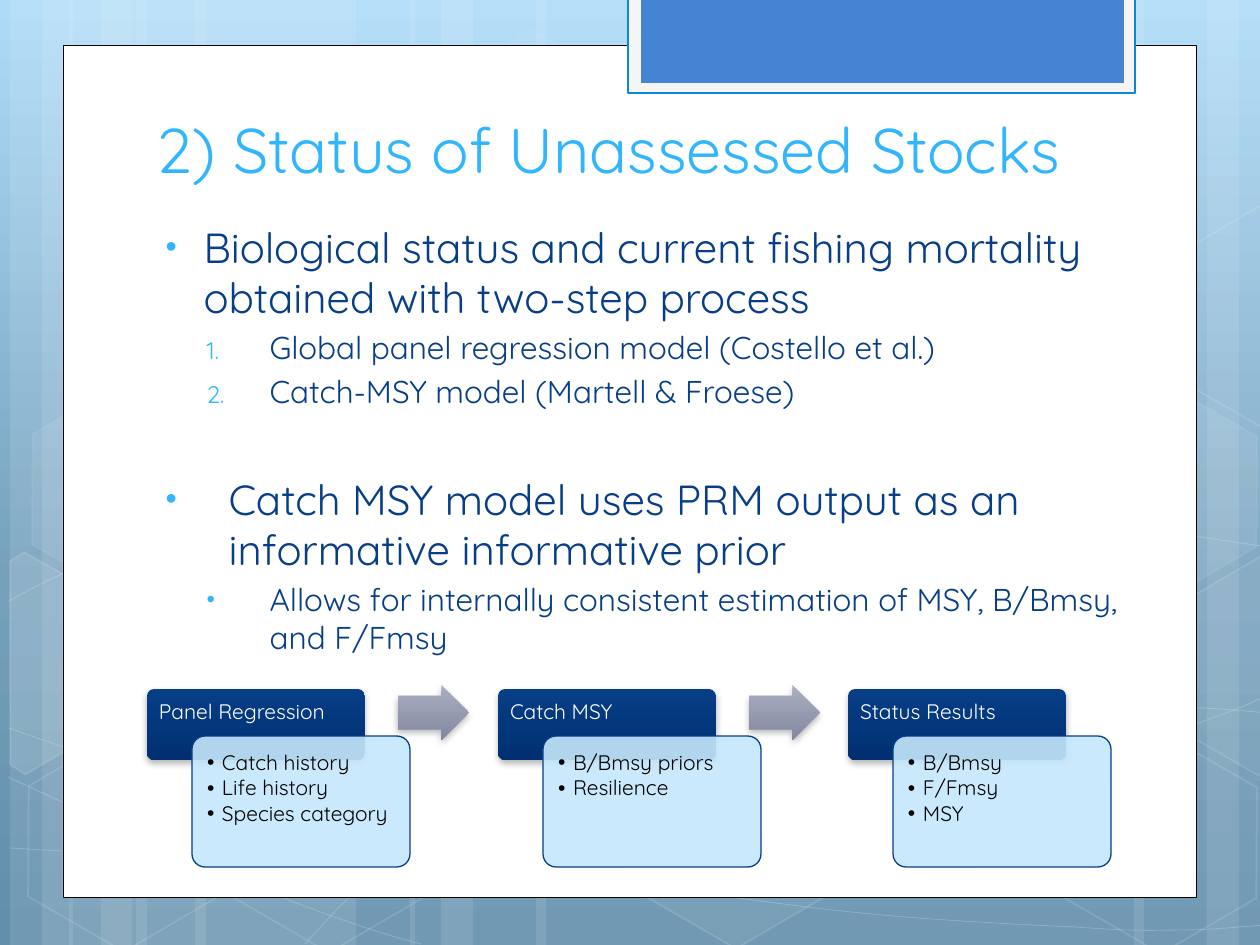
from copy import deepcopy
from math import cos, radians, sin

from lxml import etree
from pptx import Presentation
from pptx.dml.color import RGBColor
from pptx.enum.shapes import MSO_SHAPE as SHAPE
from pptx.enum.text import MSO_AUTO_SIZE as AUTO_SIZE, MSO_ANCHOR as ANCHOR, PP_ALIGN as ALIGN
from pptx.oxml.ns import qn
from pptx.util import Pt

PX = 914400 / 126
WIDTH, HEIGHT = 1260, 945
FONT = "Quicksand"
WHITE, SKY, NAVY = "FFFFFF", "31B6FD", "073E87"


def paint(fill, *colors, alpha=100):
    """Make a fill solid, or a downward gradient when several colours are given."""
    if len(colors) == 1:
        fill.solid()
        fill.fore_color.rgb = RGBColor.from_string(colors[0])
        if alpha < 100:
            color = fill._xPr.find(qn("a:solidFill"))[0]
            etree.SubElement(color, qn("a:alpha")).set("val", str(alpha * 1000))
        return
    fill.gradient()
    fill.gradient_angle = 270
    stop_list = fill._xPr.find(qn("a:gradFill")).find(qn("a:gsLst"))
    while len(stop_list) < len(colors):
        stop_list.append(deepcopy(stop_list[0]))
    for i, (stop, color) in enumerate(zip(fill.gradient_stops, colors)):
        stop.color.rgb = RGBColor.from_string(color)
        stop.position = i / (len(colors) - 1)


def add_bullet(paragraph, left, hang, marker="•", color="000000", size=100):
    """Hang a bullet to the left of the text; the marker "1." numbers the paragraph."""
    properties = paragraph._p.get_or_add_pPr()
    properties.set("marL", str(round(left * PX)))
    properties.set("indent", str(round(-hang * PX)))
    bullet_color = etree.SubElement(properties, qn("a:buClr"))
    etree.SubElement(bullet_color, qn("a:srgbClr")).set("val", color)
    etree.SubElement(properties, qn("a:buSzPct")).set("val", str(size * 1000))
    etree.SubElement(properties, qn("a:buFont")).set("typeface", "Arial")
    if marker == "1.":
        etree.SubElement(properties, qn("a:buAutoNum")).set("type", "arabicPeriod")
    else:
        etree.SubElement(properties, qn("a:buChar")).set("char", marker)


presentation = Presentation()
presentation.slide_width = round(WIDTH * PX)
presentation.slide_height = round(HEIGHT * PX)
slide = presentation.slides.add_slide(presentation.slide_layouts[1])
shapes = slide.shapes
background = slide.background.fill
paint(background, "ADDBF8", "75A0BC", "618EAB")
background.gradient_stops[1].position = 0.62

# Translucent vertical stripes: left, width
stripes = [(136, 220), (10, 63), (42, 105), (195, 220), (69, 63), (101, 105),
           (924, 220), (1207, 63), (1134, 105), (536, 388), (410, 63), (441, 105)]
for left, width in stripes:
    stripe = shapes.add_shape(SHAPE.RECTANGLE, *(round(v * PX) for v in (left, 0, width, HEIGHT)))
    stripe.shadow.inherit = False
    paint(stripe.fill, WHITE, alpha=10)
    stripe.line.fill.background()

# Thin waves: a start point, then three control points for each cubic curve
waves = [
    [(9, 848), (77, 852), (145, 856), (239, 854), (334, 853), (451, 850), (577, 838),
     (703, 825), (882, 801), (998, 777), (1113, 753), (1231, 716), (1269, 694)],
    [(9, 601), (45, 581), (82, 562), (152, 543), (227, 521), (326, 496), (437, 488),
     (549, 479), (685, 478), (824, 488), (963, 498), (1193, 537), (1269, 547)],
    [(8, 777), (160, 847), (311, 916), (421, 944)],
    [(9, 728), (48, 742), (88, 756), (161, 776), (234, 795), (344, 827), (450, 848),
     (554, 869), (687, 892), (791, 905), (896, 919), (1008, 924), (1075, 927),
     (1140, 932), (1158, 930), (1191, 930), (1223, 929), (1246, 926), (1269, 925)],
    [(305, 944), (328, 919), (350, 893), (381, 871), (411, 848), (454, 823), (489, 805),
     (524, 788), (546, 780), (592, 767), (638, 754), (722, 737), (766, 728),
     (811, 719), (818, 719), (857, 717), (896, 713), (958, 709), (1000, 708),
     (1044, 707), (1116, 708), (1116, 708), (1116, 708), (1201, 708), (1201, 708),
     (1223, 709), (1244, 711), (1256, 712), (1264, 713), (1260, 712), (1268, 713)],
]
for wave in waves:
    builder = shapes.build_freeform(*wave[0], scale=PX)
    builder.add_line_segments(wave[1:], close=False)
    curve = builder.convert_to_shape()
    outline = next(curve._element.iter(qn("a:path")))
    segments = outline.findall(qn("a:lnTo"))
    for start in range(0, len(segments), 3):
        cubic = etree.SubElement(outline, qn("a:cubicBezTo"))
        for segment in segments[start:start + 3]:
            cubic.append(segment[0])
            outline.remove(segment)
    curve.shadow.inherit = False
    curve.fill.background()
    paint(curve.line.fill, WHITE, alpha=20)
    curve.line.width = Pt(0.5)

# Hexagons: corner of a whole one, or centre and outline of a cut one; fill and line alpha
TILT = 30
hexagons = [
    ((421, 45), [], 4, 8), ((626, 742), [], 6, 12),
    ((45, 674), [(10, 561), (24, 552), (121, 607), (120, 718), (25, 774), (10, 765)], 10, 12),
    ((14, 745), [], 0, 12), ((18, 393), [], 7, 8), ((219, 746), [], 0, 12),
    ((949, 571), [], 10, 12), ((1051, 747), [], 0, 12), ((1051, 396), [], 7, 8),
    ((1241, 655), [(1167, 611), (1261, 556), (1271, 562), (1271, 772), (1263, 777),
                   (1167, 722)], 4, 12),
    ((1241, 304), [(1167, 261), (1261, 205), (1273, 211), (1271, 422), (1263, 427),
                   (1167, 372)], 0, 12),
]
for (x, y), outline, fill_alpha, line_alpha in hexagons:
    if outline:
        cosine, sine = cos(radians(TILT)), sin(radians(TILT))
        upright = [(x + (px - x) * cosine + (py - y) * sine,
                    y - (px - x) * sine + (py - y) * cosine) for px, py in outline]
        builder = shapes.build_freeform(*upright[0], scale=PX)
        builder.add_line_segments(upright[1:])
        hexagon = builder.convert_to_shape()
    else:
        hexagon = shapes.add_shape(SHAPE.HEXAGON, *(round(v * PX) for v in (x, y, 220, 192)))
        hexagon.adjustments[0] = 0.285
    hexagon.rotation = TILT
    hexagon.shadow.inherit = False
    if fill_alpha:
        paint(hexagon.fill, WHITE, alpha=fill_alpha)
    else:
        hexagon.fill.background()
    paint(hexagon.line.fill, WHITE, alpha=line_alpha)
    hexagon.line.width = Pt(1)

# White page and the tab hanging from the top
for box, color, line_color, line_width in [
    ((63, 45, 1134, 853), WHITE, "000000", 0.5),
    ((628, -2, 507, 95), "F5F5F5", "0B87D6", 1.25),
    ((641, -2, 483, 85), "4584D3", None, 0),
]:
    panel = shapes.add_shape(SHAPE.RECTANGLE, *(round(v * PX) for v in box))
    panel.shadow.inherit = False
    paint(panel.fill, color)
    if line_color:
        paint(panel.line.fill, line_color)
        panel.line.width = Pt(line_width)
    else:
        panel.line.fill.background()

# Title and body placeholders, brought in front of the page
title, body = shapes.title, slide.placeholders[1]
for placeholder, box in [(title, (144, 35, 968, 157)), (body, (144, 215, 1004, 460))]:
    shapes._spTree.append(placeholder._element)
    placeholder.left, placeholder.top, placeholder.width, placeholder.height = (
        round(v * PX) for v in box)
    placeholder.text_frame.auto_size = AUTO_SIZE.NONE
title.text_frame.text = "2) Status of Unassessed Stocks"
title.text_frame.vertical_anchor = ANCHOR.BOTTOM
title_paragraph = title.text_frame.paragraphs[0]
title_paragraph.alignment = ALIGN.LEFT
title_paragraph.font.name, title_paragraph.font.size = FONT, Pt(36)
paint(title_paragraph.font.fill, SKY)

# Text, level, size, left, hang, marker, space before
points = [
    ("Biological status and current fishing mortality obtained with two-step process",
     0, 24, 47, 38, "•", 0),
    ("Global panel regression model (Costello et al.)", 1, 18, 113, 63, "1.", 3.6),
    ("Catch-MSY model (Martell & Froese)", 1, 18, 113, 63, "1.", 3.6),
    ("Catch MSY model uses PRM output as an informative informative prior",
     0, 24, 72, 63, "•", 36),
    ("Allows for internally consistent estimation of MSY, B/Bmsy, and F/Fmsy",
     1, 18, 113, 63, "•", 3.6),
]
body.text_frame.text = "\n".join(point[0] for point in points)
for paragraph, point in zip(body.text_frame.paragraphs, points):
    _, paragraph.level, size, left, hang, marker, before = point
    add_bullet(paragraph, left, hang, marker, SKY, 76)
    paragraph.space_before = Pt(before)
    paragraph.font.name, paragraph.font.size = FONT, Pt(size)
    paint(paragraph.font.fill, NAVY)

# Process: a header and a card for each stage, with arrows between stages
stages = [(147, "Panel Regression", "Catch history\nLife history\nSpecies category"),
          (498, "Catch MSY", "B/Bmsy priors\nResilience"),
          (848, "Status Results", "B/Bmsy\nF/Fmsy\nMSY")]
for left, heading, details in stages:
    parts = [(SHAPE.ROUNDED_RECTANGLE, (left, 689, 218, 71), (NAVY, "003071"),
              heading, (left, 689, 218, 48)),
             (SHAPE.ROUNDED_RECTANGLE, (left + 45, 736, 218, 131), ("C6E7FC",),
              details, (left + 48, 740, 210, 123))]
    if left != stages[-1][0]:
        parts.append((SHAPE.RIGHT_ARROW, (left + 251, 685, 71, 55), ("ABAFC3", "8388A0"),
                      None, None))
    for kind, box, colors, text, text_box in parts:
        is_card = text == details
        shape = shapes.add_shape(kind, *(round(v * PX) for v in box))
        shape.adjustments[0] = 0.6 if kind == SHAPE.RIGHT_ARROW else 0.1
        shape.shadow.inherit = False
        paint(shape.fill, *colors, alpha=90)
        if is_card:
            paint(shape.line.fill, NAVY)
            shape.line.width = Pt(0.75)
        else:
            shape.line.fill.background()
            effects = shape._element.spPr.find(qn("a:effectLst"))
            shadow = etree.SubElement(effects, qn("a:outerShdw"), blurRad=str(Pt(4)),
                                      dist=str(Pt(2)), dir="5400000", rotWithShape="0")
            shadow_color = etree.SubElement(shadow, qn("a:srgbClr"), val="000000")
            etree.SubElement(shadow_color, qn("a:alpha"), val="28000")
        if not text:
            continue
        frame = shapes.add_textbox(*(round(v * PX) for v in text_box)).text_frame
        frame.text, frame.word_wrap = text, True
        frame.margin_left = frame.margin_top = frame.margin_right = round(12 * PX)
        for paragraph in frame.paragraphs:
            if is_card:
                add_bullet(paragraph, 15, 15)
            paragraph.line_spacing, paragraph.space_after = 0.9, Pt(1.8)
            paragraph.font.name, paragraph.font.size = FONT, Pt(12)
            paint(paragraph.font.fill, "000000" if is_card else WHITE)

presentation.save("out.pptx")
